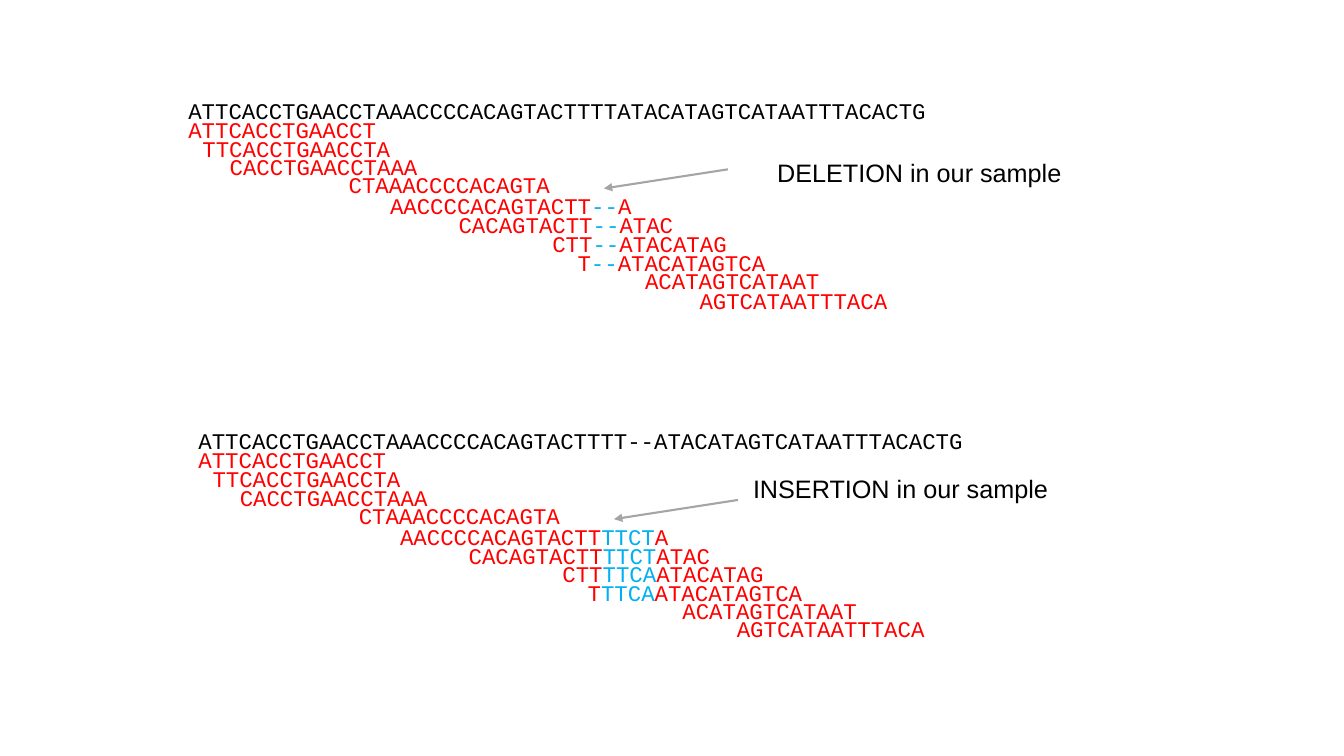
import pptx
import pptx.util
import pptx.dml.color
import pptx.enum.shapes
import pptx.enum.text
from dataclasses import dataclass
from lxml import etree
from pptx.oxml.ns import qn

Inches = pptx.util.Inches


@dataclass(frozen=True)
class Theme:
    ink: str = "000000"
    read: str = "FF0000"
    change: str = "00B0F0"
    arrow: str = "A5A5A5"
    mono: str = "Courier New"
    sans: str = "Arial"
    base: float = 16
    label: float = 18
    line: float = 1.5
    pitch: float = 0.1334
    pad: float = 0.2


THEME = Theme()

HEAD = [
    (0, 0.19, "ATTCACCTGAACCT"),
    (0.14, 0.38, "TTCACCTGAACCTA"),
    (0.41, 0.56, "CACCTGAACCTAAA"),
    (1.59, 0.74, "CTAAACCCCACAGTA"),
]
SPAN = [
    (2.0, 0.95, "AACCCCACAGTACTT", "A"),
    (2.68, 1.14, "CACAGTACTT", "ATAC"),
    (3.61, 1.32, "CTT", "ATACATAG"),
    (3.86, 1.51, "T", "ATACATAGTCA"),
]


def color(code):
    return pptx.dml.color.RGBColor.from_string(code)


def write(shapes, left, top, width, height, runs, font, size):
    box = shapes.add_textbox(Inches(left), Inches(top), Inches(width), Inches(height))
    frame = box.text_frame
    frame.word_wrap = False
    frame.auto_size = pptx.enum.text.MSO_AUTO_SIZE.SHAPE_TO_FIT_TEXT
    for text, code in runs:
        run = frame.paragraphs[0].add_run()
        run.text = text
        run.font.name = font
        run.font.size = pptx.util.Pt(size)
        run.font.color.rgb = color(code)


def strand(shapes, left, top, *runs):
    count = sum(len(text) for text, code in runs)
    width = THEME.pad + count * THEME.pitch
    write(shapes, left, top, width, 0.37, runs, THEME.mono, THEME.base)


def arrow(slide, start, end):
    line = slide.shapes.add_connector(
        pptx.enum.shapes.MSO_CONNECTOR.STRAIGHT,
        *(Inches(value) for value in start + end))
    line.line.color.rgb = color(THEME.arrow)
    line.line.width = pptx.util.Pt(THEME.line)
    etree.SubElement(line.line._get_or_add_ln(), qn("a:tailEnd"), type="triangle")
    etree.SubElement(line._element.spPr, qn("a:effectLst"))


def pileup(slide, left, top, genome, marks, shift, last, label, place):
    shapes = slide.shapes.add_group_shape().shapes
    strand(shapes, left, top, (genome, THEME.ink))
    for x, y, text in HEAD:
        strand(shapes, left + x, top + y, (text, THEME.read))
    for (x, y, before, after), mark in zip(SPAN, marks):
        strand(shapes, left + x, top + y, (before, THEME.read),
               (mark, THEME.change), (after, THEME.read))
    tail = [(4.53, 1.69, "ACATAGTCATAAT"), (5.07, last, "AGTCATAATTTACA")]
    for x, y, text in tail:
        strand(shapes, left + x + shift, top + y, (text, THEME.read))
    arrow(slide, (left + 5.45, top + 0.77), (left + 4.22, top + 0.96))
    x, y, width = place
    write(slide.shapes, left + x, top + y, width, 0.4,
          [(label, THEME.ink)], THEME.sans, THEME.label)


def main():
    deck = pptx.Presentation()
    deck.slide_width = Inches(13.33)
    deck.slide_height = Inches(7.5)
    slide = deck.slides.add_slide(deck.slide_layouts[6])
    pileup(slide, 1.77, 0.91,
           "ATTCACCTGAACCTAAACCCCACAGTACTTTTATACATAGTCATAATTTACACTG",
           ["--"] * 4, 0, 1.89, "DELETION in our sample", (5.84, 0.6, 3.05))
    pileup(slide, 1.87, 4.19,
           "ATTCACCTGAACCTAAACCCCACAGTACTTTT--ATACATAGTCATAATTTACACTG",
           ["TTCT", "TTCT", "TTCA", "TTCA"], 0.27, 1.86,
           "INSERTION in our sample", (5.5, 0.46, 3.15))
    deck.save("out.pptx")


if __name__ == "__main__":
    main()
